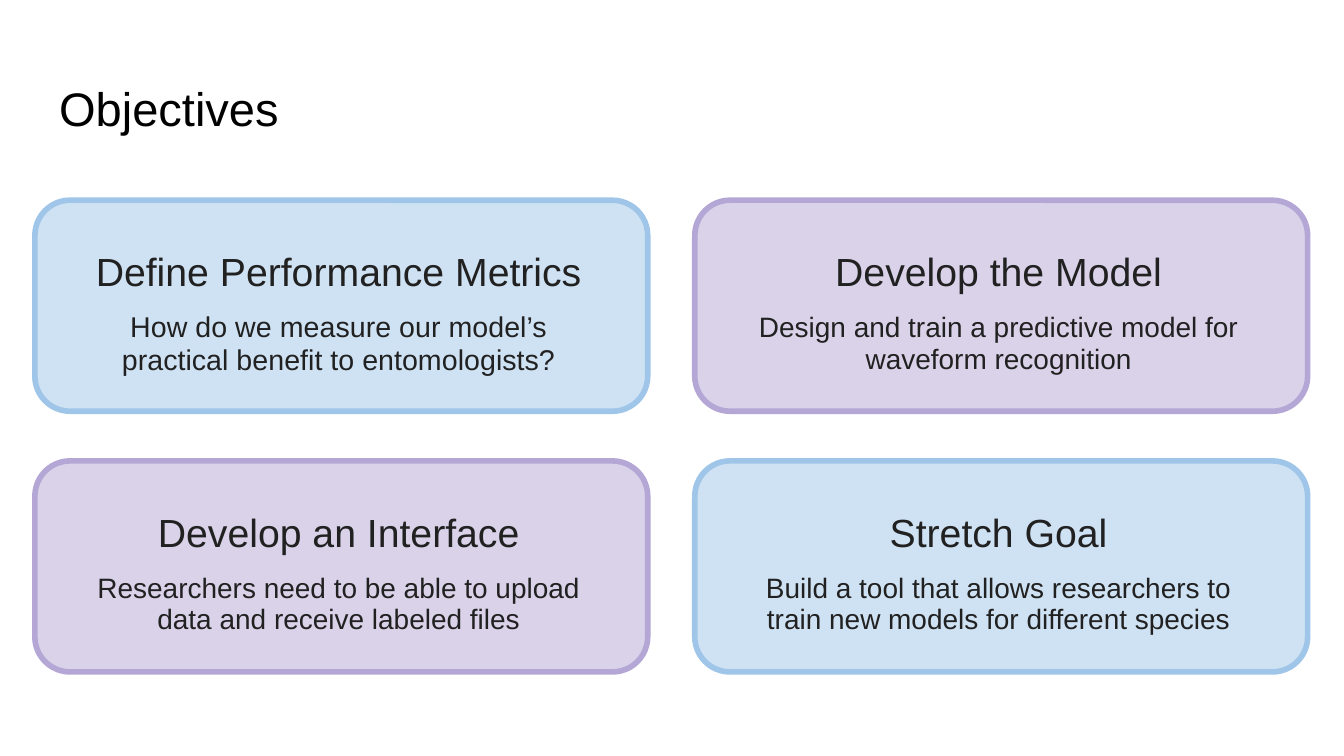
from dataclasses import dataclass

from pptx import Presentation
from pptx.dml.color import RGBColor
from pptx.enum.shapes import MSO_SHAPE
from pptx.enum.text import MSO_ANCHOR, MSO_AUTO_SIZE, PP_ALIGN
from pptx.util import Inches, Pt

TITLE = "Objectives"
# Two rows of two cards: heading, detail, detail size in points
OBJECTIVES = [
    [("Define Performance Metrics",
      "How do we measure our model’s practical benefit to entomologists?", 15.3),
     ("Develop the Model",
      "Design and train a predictive model for waveform recognition", 15)],
    [("Develop an Interface",
      "Researchers need to be able to upload data and receive labeled files", 15),
     ("Stretch Goal",
      "Build a tool that allows researchers to train new models for different species", 15)],
]


@dataclass(frozen=True)
class Theme:
    font: str = "Arial"
    title_color: str = "000000"
    text_color: str = "212121"
    title_size: float = 25.2
    heading_size: float = 21
    border: float = 3
    # (fill, line) pairs that alternate like a chessboard
    cards: tuple = (("CFE2F3", "9FC5E8"), ("D9D2E9", "B4A7D6"))


THEME = Theme()
SLIDE_W = 10
SLIDE_H = SLIDE_W * 9 / 16
CARD_W, CARD_H = 4.56, 1.57
GRID_LEFT, GRID_TOP = 0.26, 1.49
COLUMN_STEP, ROW_STEP = 4.91, 1.94
TEXT_W = 3.98
TEXT_INSET = 0.27
HEADING_OFFSET, HEADING_H = 0.2, 0.63
DETAIL_OFFSET, DETAIL_H = 0.73, 0.7


def write(shape, text, size, color, align, spacing=1.0):
    frame = shape.text_frame
    frame.text = text
    frame.word_wrap = True
    frame.auto_size = MSO_AUTO_SIZE.NONE
    frame.vertical_anchor = MSO_ANCHOR.TOP
    frame.margin_left = frame.margin_right = Inches(0.1)
    frame.margin_top = frame.margin_bottom = Inches(0.1)
    paragraph = frame.paragraphs[0]
    paragraph.alignment = align
    paragraph.line_spacing = spacing
    paragraph.font.name = THEME.font
    paragraph.font.size = Pt(size)
    paragraph.font.color.rgb = RGBColor.from_string(color)


def add_card(slide, left, top, colors, heading, detail, detail_size):
    fill, line = map(RGBColor.from_string, colors)
    card = slide.shapes.add_shape(
        MSO_SHAPE.ROUNDED_RECTANGLE,
        Inches(left), Inches(top), Inches(CARD_W), Inches(CARD_H))
    card.shadow.inherit = False
    card.fill.solid()
    card.fill.fore_color.rgb = fill
    card.line.color.rgb = line
    card.line.width = Pt(THEME.border)

    for text, offset, height, size, spacing in (
            (heading, HEADING_OFFSET, HEADING_H, THEME.heading_size, 1.15),
            (detail, DETAIL_OFFSET, DETAIL_H, detail_size, 0.95)):
        label = slide.shapes.add_textbox(
            Inches(left + TEXT_INSET), Inches(top + offset),
            Inches(TEXT_W), Inches(height))
        write(label, text, size, THEME.text_color, PP_ALIGN.CENTER, spacing)


def main():
    deck = Presentation()
    deck.slide_width, deck.slide_height = Inches(SLIDE_W), Inches(SLIDE_H)
    slide = deck.slides.add_slide(deck.slide_layouts.get_by_name("Title Only"))

    title = slide.shapes.title
    title.left, title.top = Inches(0.34), Inches(0.49)
    title.width, title.height = Inches(9.32), Inches(0.63)
    write(title, TITLE, THEME.title_size, THEME.title_color, PP_ALIGN.LEFT)

    for row, cards in enumerate(OBJECTIVES):
        for column, content in enumerate(cards):
            add_card(slide, GRID_LEFT + column * COLUMN_STEP, GRID_TOP + row * ROW_STEP,
                     THEME.cards[(row + column) % 2], *content)

    deck.save("out.pptx")


if __name__ == "__main__":
    main()
